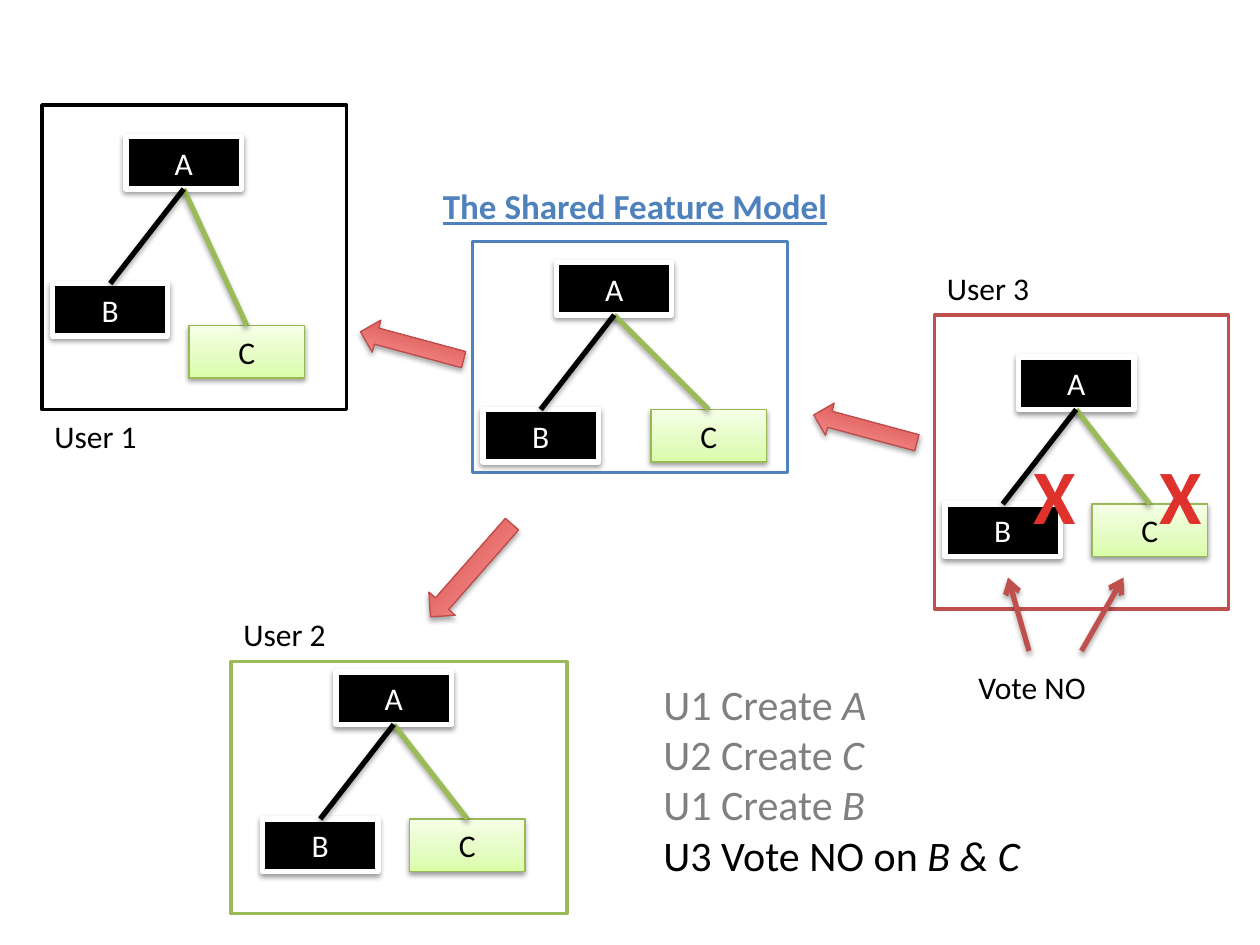
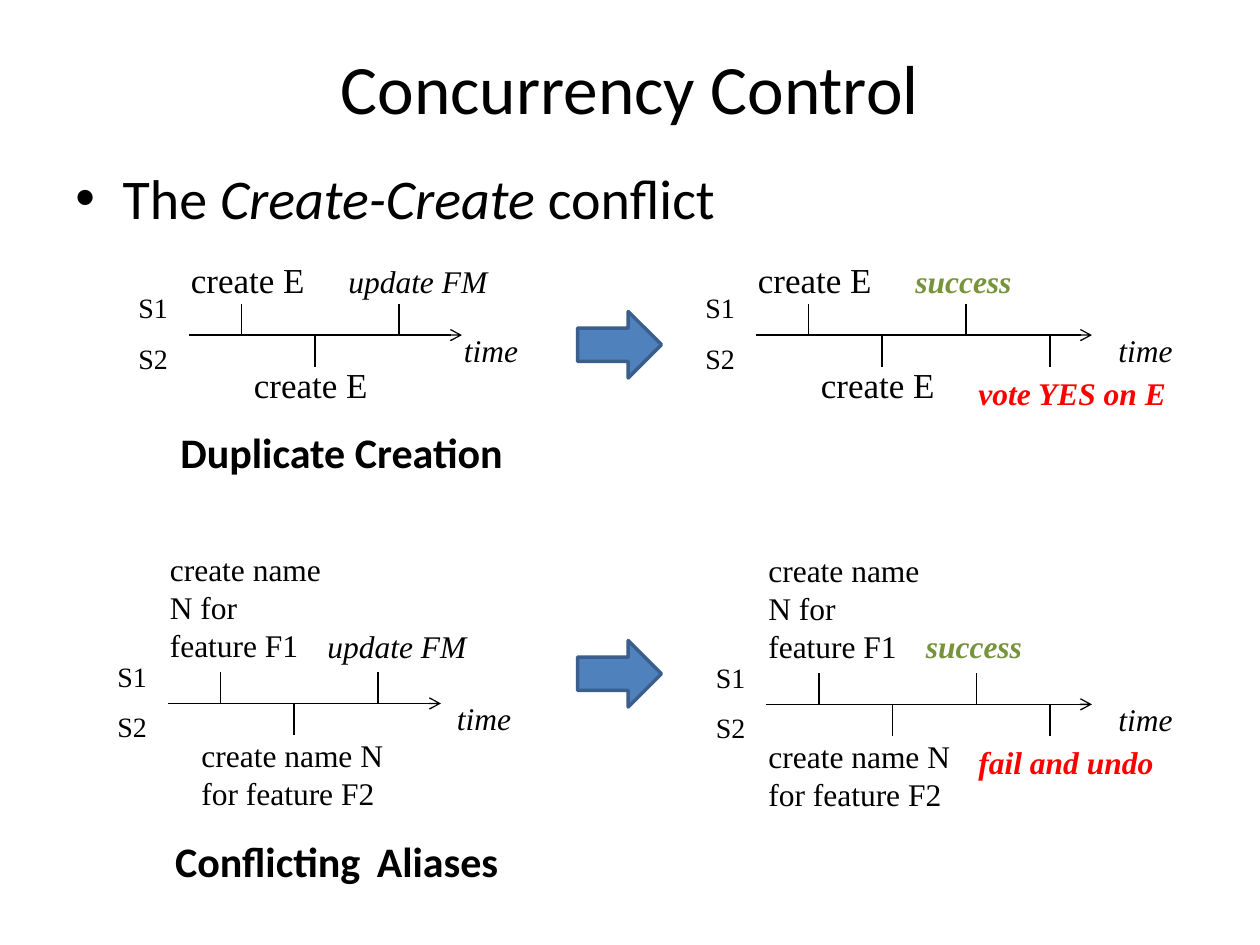
from dataclasses import dataclass

from lxml import etree
from pptx import Presentation
from pptx.dml.color import RGBColor
from pptx.enum import shapes, text
from pptx.oxml import ns
from pptx.util import Pt


@dataclass(frozen=True)
class Theme:
    body_font: str = "Calibri"
    diagram_font: str = "Times New Roman"
    black: str = "000000"
    white: str = "FFFFFF"
    grey: str = "808080"
    blue: str = "4F81BD"
    blue_edge: str = "3A5F8C"
    red: str = "C0504D"
    red_edge: str = "BF4C48"
    green: str = "9BBB59"
    green_edge: str = "98B955"
    success: str = "77933C"
    warning: str = "FF0000"
    red_fade: tuple = ((0, "D1403C"), (100, "FFA6A5"))
    green_fade: tuple = ((0, "DAFDA7"), (35, "E4FCC2"), (100, "F5FFE7"))
    cross_fade: tuple = ((25, "E0322D"), (100, "A2201C"))
    title_size: float = 39.6
    bullet_size: float = 32
    list_size: float = 24
    heading_size: float = 20
    label_size: float = 18
    site_size: float = 16
    cross_size: float = 44


THEME = Theme()
BOX_SHADOW = (38, 3.1, 1.6)
LINE_SHADOW = (35, 3.1, 1.8)
BOX_WIDTH, BOX_HEIGHT = 66, 30
B_OFFSET = (-42, 84)
TICK = 18


def add_child(parent, tag, **attributes):
    child = etree.SubElement(parent, ns.qn(tag))
    for key, value in attributes.items():
        child.set(key, str(value))
    return child


def paint(fill, holder, colour, angle=90):
    """Fill with one colour, or with a gradient given as (percent, colour) stops."""
    if isinstance(colour, str):
        fill.solid()
        fill.fore_color.rgb = RGBColor.from_string(colour)
        return
    fill.gradient()
    fill.gradient_angle = angle
    stops = holder.find(ns.qn("a:gradFill")).find(ns.qn("a:gsLst"))
    for stop in list(stops):
        stops.remove(stop)
    for percent, stop_colour in colour:
        stop = add_child(stops, "a:gs", pos=percent * 1000)
        add_child(stop, "a:srgbClr", val=stop_colour)


def set_effects(item, shadow):
    """Drop the theme shadow; shadow is (opacity percent, blur, distance)."""
    effects = add_child(item._element.spPr, "a:effectLst")
    if shadow:
        opacity, blur, distance = shadow
        outer = add_child(effects, "a:outerShdw", blurRad=int(Pt(blur)), dist=int(Pt(distance)),
                          dir=90 * 60000, rotWithShape=0)
        add_child(add_child(outer, "a:srgbClr", val=THEME.black), "a:alpha", val=opacity * 1000)


def format_run(run, size=THEME.label_size, font=THEME.body_font, colour=THEME.black,
               bold=False, italic=False, underline=False, spacing=0):
    run.font.size, run.font.name = Pt(size), font
    run.font.bold, run.font.italic, run.font.underline = bold, italic, underline
    properties = run._r.get_or_add_rPr()
    paint(run.font.fill, properties, colour, angle=270)
    if spacing:
        properties.set("spc", str(round(spacing * 100)))


def write(frame, paragraphs, align=text.PP_ALIGN.LEFT, bullet_indent=0, **style):
    """Write a string, or paragraphs that are lists of (words, changes to the style)."""
    if isinstance(paragraphs, str):
        paragraphs = [[(paragraphs, {})]]
    for index, pieces in enumerate(paragraphs):
        paragraph = frame.add_paragraph() if index else frame.paragraphs[0]
        paragraph.alignment = align
        if bullet_indent:
            properties = paragraph._p.get_or_add_pPr()
            properties.set("marL", str(int(Pt(bullet_indent))))
            properties.set("indent", str(-int(Pt(bullet_indent))))
            add_child(properties, "a:buFont", typeface="Arial")
            add_child(properties, "a:buChar", char="•")
        for words, changes in pieces:
            run = paragraph.add_run()
            run.text = words
            format_run(run, **{**style, **changes})


class Board:
    """Holds the theme and the slide now being drawn; all lengths are points."""

    def __init__(self, theme):
        self.theme = theme
        self.deck = Presentation()
        self.deck.slide_width, self.deck.slide_height = Pt(720), Pt(540)
        self.slide = None

    def new_slide(self):
        self.slide = self.deck.slides.add_slide(self.deck.slide_layouts[6])

    def words(self, at, content, wrap=True, grow=True, anchor=text.MSO_ANCHOR.TOP, **style):
        frame = self.slide.shapes.add_textbox(*map(Pt, at)).text_frame
        frame.word_wrap = wrap
        frame.auto_size = (text.MSO_AUTO_SIZE.SHAPE_TO_FIT_TEXT if grow
                           else text.MSO_AUTO_SIZE.NONE)
        frame.vertical_anchor = anchor
        write(frame, content, **style)

    def shape(self, at, fill, edge, weight, kind=shapes.MSO_SHAPE.RECTANGLE,
              shadow=None, turn=0):
        item = self.slide.shapes.add_shape(kind, *map(Pt, at))
        item.rotation = turn
        paint(item.fill, item._element.spPr, fill)
        item.line.color.rgb = RGBColor.from_string(edge)
        item.line.width = Pt(weight)
        set_effects(item, shadow)
        return item

    def line(self, start, end, colour=THEME.black, weight=0.75, arrow=False, shadow=None):
        item = self.slide.shapes.add_connector(shapes.MSO_CONNECTOR.STRAIGHT,
                                               *map(Pt, (*start, *end)))
        item.line.color.rgb = RGBColor.from_string(colour)
        item.line.width = Pt(weight)
        if arrow:
            add_child(item._element.spPr.find(ns.qn("a:ln")), "a:tailEnd", type="arrow")
        set_effects(item, shadow)

    def block_arrow(self, at, fill, edge, weight, **options):
        self.shape(at, fill, edge, weight, kind=shapes.MSO_SHAPE.RIGHT_ARROW, **options)

    def feature(self, name, left, top):
        """Draw one feature box; C stands out in green."""
        theme = self.theme
        fill, edge, weight, ink = ((theme.green_fade, theme.green_edge, 0.75, theme.black)
                                   if name == "C" else
                                   (theme.black, theme.white, 3, theme.white))
        box = self.shape((left, top, BOX_WIDTH, BOX_HEIGHT), fill, edge, weight,
                         shadow=BOX_SHADOW)
        box.text_frame.vertical_anchor = text.MSO_ANCHOR.MIDDLE
        write(box.text_frame, name, align=text.PP_ALIGN.CENTER, colour=ink)

    def feature_tree(self, left, top, c_offset):
        """Draw A with its children C and B, each placed by its offset from A."""
        self.feature("A", left, top)
        for name, (dx, dy), colour in (("C", c_offset, self.theme.green),
                                       ("B", B_OFFSET, self.theme.black)):
            self.feature(name, left + dx, top + dy)
            middle = left + BOX_WIDTH / 2
            self.line((middle, top + BOX_HEIGHT), (middle + dx, top + dy), colour, 3,
                      shadow=LINE_SHADOW)

    def timeline(self, left, axis, length, time_left, first, second, outcome, late=None):
        """Draw two sites' events: first, second and late are (words, dx, dy, width)."""
        font = self.theme.diagram_font
        label = {"font": font, "size": self.theme.label_size}
        size = self.theme.heading_size if first[0] == "create E" else self.theme.label_size

        for words, dx, dy, width in (first, second):
            self.words((left + dx, axis + dy, width, 31.5), words, font=font, size=size)
        for site, dy in (("S1", -28.8), ("S2", 0)):
            self.words((left - 36, axis + dy, 36, 26.6), site, font=font,
                       size=self.theme.site_size)
        words, dy, style = outcome
        self.words((left + 84, axis + dy, 130, 29), words, italic=True, **label, **style)
        self.words((time_left, axis - 6, 46, 29), "time", wrap=False, italic=True, **label)

        self.line((left, axis), (left + length, axis), arrow=True)
        for dx, rise in ((30, -TICK), (120, -TICK), (72, TICK)):
            self.line((left + dx, axis), (left + dx, axis + rise))
        if late:
            self.line((600, axis), (600, axis + TICK))
            self.words((552, axis + TICK + 0.5, 126, 29), late, bold=True, italic=True,
                       colour=self.theme.warning, **label)


def draw_shared_model(board):
    theme = board.theme
    board.new_slide()
    models = [
        ((270, 138, 180, 132), theme.blue, (318, 150), (54, 84)),
        ((24, 60, 174, 174), theme.black, (72, 78), (36, 108)),
        ((132, 378, 192, 144), theme.green, (192, 384), (42, 84)),
        ((534, 180, 168, 168), theme.red, (582, 204), (42, 84)),
    ]
    for frame, edge, root, c_offset in models:
        board.shape(frame, theme.white, edge, 2)
        board.feature_tree(*root, c_offset)

    board.words((246, 102, 236, 32), "The Shared Feature Model", size=theme.heading_size,
                colour=theme.blue, bold=True, underline=True)
    for label, left, top, width in (("User 1", 24, 235, 62), ("User 2", 132, 348, 62),
                                    ("User 3", 534, 150, 62), ("Vote NO", 552, 378, 76)):
        board.words((left, top, width, 29), label, wrap=False)

    for at, turn in (((464, 235.5, 61, 19), 195.1), ((205, 188, 61, 19), 195.1),
                     ((234, 316, 70.5, 20), 131.3)):
        board.block_arrow(at, theme.red_fade, theme.red_edge, 0.75,
                          shadow=LINE_SHADOW, turn=turn)
    for vote_from, vote_to in ((588, 576), (618, 642)):
        board.line((vote_from, 372), (vote_to, 330), theme.red, 3, arrow=True,
                   shadow=LINE_SHADOW)
    for left in (582, 654):
        board.words((left, 252, 42, 60.5), "X", align=text.PP_ALIGN.CENTER, bold=True,
                    size=theme.cross_size, colour=theme.cross_fade, spacing=0.5)

    steps = (("U1 Create ", "A", theme.grey), ("U2 Create ", "C", theme.grey),
             ("U1 Create ", "B", theme.grey), ("U3 Vote NO on ", "B & C", theme.black))
    board.words((372, 384, 220, 124),
                [[(action, {"colour": colour}), (target, {"colour": colour, "italic": True})]
                 for action, target, colour in steps],
                wrap=False, size=theme.list_size)


def draw_concurrency(board):
    theme = board.theme
    board.new_slide()
    board.words((36, 21.6, 648, 56), "Concurrency Control", grow=False,
                anchor=text.MSO_ANCHOR.MIDDLE, align=text.PP_ALIGN.CENTER,
                size=theme.title_size)
    board.words((36, 90, 648, 392),
                [[("The ", {}), ("Create-Create", {"italic": True}), (" conflict", {})]],
                grow=False, size=theme.bullet_size, bullet_indent=27)

    success = {"colour": theme.success, "bold": True}
    duplicate = {"first": ("create E", -6, -47.5, 84), "second": ("create E", 30, 12.5, 90)}
    board.timeline(108, 191.5, 156, 258, outcome=("update FM", -45.5, {}), **duplicate)
    board.timeline(432, 191.5, 192, 632, outcome=("success", -45.5, success),
                   late="vote YES on E", **duplicate)

    alias_first = ("create name N for feature F1", -6, -91, 102)
    alias_second = "create name N for feature F2"
    board.timeline(96, 402, 156, 254, alias_first, (alias_second, 12, 15, 126),
                   ("update FM", -47.5, {}))
    board.timeline(438, 402.5, 186, 632, alias_first, (alias_second, -6, 15, 126),
                   ("success", -47.5, success), "fail and undo")

    for top in (178, 366):
        board.block_arrow((330, top, 48, 38), theme.blue, theme.blue_edge, 2)
    aliases = [[("Conflicting", {}), (" ", {"spacing": 4}), ("Aliases", {})]]
    for at, caption in (((96, 240, 201, 36), "Duplicate Creation"),
                        ((93, 474, 202, 36), aliases)):
        board.words(at, caption, wrap=False, size=theme.list_size, bold=True)


def main():
    board = Board(THEME)
    draw_shared_model(board)
    draw_concurrency(board)
    board.deck.save("out.pptx")


if __name__ == "__main__":
    main()
